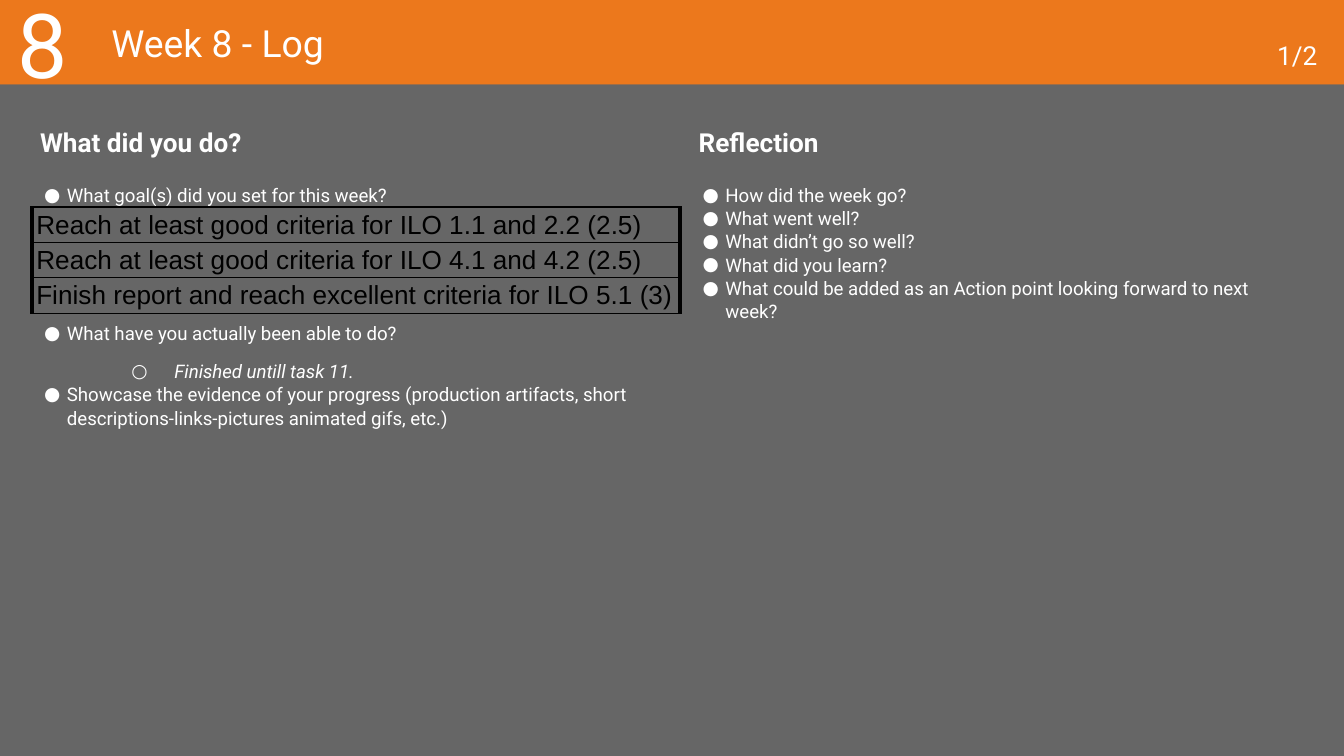
from lxml import etree
from pptx import Presentation
from pptx import util as u
from pptx.dml.color import RGBColor
from pptx.enum import shapes, text
from pptx.oxml.ns import qn

ORANGE = RGBColor(0xEC, 0x78, 0x1C)
GREY = RGBColor(0x66, 0x66, 0x66)
WHITE = RGBColor(0xFF, 0xFF, 0xFF)
BLACK = RGBColor(0, 0, 0)
ALIGN = text.PP_ALIGN
ANCHOR = text.MSO_ANCHOR

GOALS = [
    "Reach at least good criteria for ILO 1.1 and 2.2 (2.5)",
    "Reach at least good criteria for ILO 4.1 and 4.2 (2.5)",
    "Finish report and reach excellent criteria for ILO 5.1 (3)",
]
DONE = [
    ("What goal(s) did you set for this week?", {}),
    ("What have you actually been able to do?\u00a0", {"before": 61.5}),
    ("Finished untill task 11.",
     {"before": 8, "level": 1, "left": 1, "hang": 0.32, "mark": "○", "italic": True}),
    ("Showcase the evidence of your progress (production artifacts, short "
     "descriptions-links-pictures animated gifs, etc.)", {}),
]
REFLECT = [(line, {}) for line in (
    "How did the week go?",
    "What went well?",
    "What didn’t go so well?",
    "What did you learn?",
    "What could be added as an Action point looking forward to next week?",
)]


def add_mark(para, mark, left, hang, size, face):
    """Give a paragraph a white bullet and a hanging indent."""
    props = para._p.get_or_add_pPr()
    props.set("marL", str(u.Inches(left)))
    props.set("indent", str(-u.Inches(hang)))
    tint = etree.SubElement(props, qn("a:buClr"))
    etree.SubElement(tint, qn("a:srgbClr"), val=str(WHITE))
    etree.SubElement(props, qn("a:buSzPts"), val=str(size * 100))
    etree.SubElement(props, qn("a:buFont"), typeface=face)
    etree.SubElement(props, qn("a:buChar"), char=mark)
    para.font.size = u.Pt(size)


def write(para, words, size=10, face="Roboto", color=WHITE, bold=False, italic=False,
          align=ALIGN.LEFT, space=None, before=None, level=0, mark=None, left=0.2, hang=0.17):
    """Fill one paragraph with formatted text."""
    para.level = level
    para.alignment = align
    if space:
        para.line_spacing = space
    if before:
        para.space_before = u.Pt(before)
    if mark:
        add_mark(para, mark, left, hang, size, face)
    run = para.add_run()
    run.text = words
    font = run.font
    font.size, font.name, font.bold, font.italic = u.Pt(size), face, bold, italic
    font.color.rgb = color


def add_box(slide, x, y, w, h, anchor=ANCHOR.TOP):
    """Add an empty wrapping text box and return its frame."""
    frame = slide.shapes.add_textbox(*map(u.Inches, (x, y, w, h))).text_frame
    frame.word_wrap = True
    frame.vertical_anchor = anchor
    frame.margin_left = frame.margin_right = u.Inches(0.1)
    frame.margin_top = frame.margin_bottom = u.Inches(0.1)
    return frame


def add_bar(slide, x, y, w, h, color):
    """Add a plain filled rectangle."""
    bar = slide.shapes.add_shape(shapes.MSO_SHAPE.RECTANGLE, *map(u.Inches, (x, y, w, h)))
    bar.shadow.inherit = False
    bar.fill.solid()
    bar.fill.fore_color.rgb = color
    bar.line.fill.background()


def add_header(slide, x, y, w, h):
    """Place the banner with week number, title and page count."""
    add_bar(slide, x, y, w, h, ORANGE)
    add_bar(slide, x, y + h, w, 0.1, GREY)
    items = [
        ("8", 0, h, 48, ALIGN.CENTER, ANCHOR.MIDDLE),
        ("Week 8 - Log", 0.73, 6, 20, ALIGN.LEFT, ANCHOR.MIDDLE),
        ("1/2", w - 2.27, 2.17, 14, ALIGN.RIGHT, ANCHOR.BOTTOM),
    ]
    for words, dx, wide, size, align, anchor in items:
        frame = add_box(slide, x + dx, y, wide, h, anchor)
        write(frame.paragraphs[0], words, size=size, align=align)


def add_column(slide, x, y, w, h, title, points):
    """Place a heading with its bullet list below."""
    head = 0.43
    frame = add_box(slide, x, y, w, head)
    write(frame.paragraphs[0], title, size=14, bold=True, space=1.04)
    frame = add_box(slide, x, y + head, w, h - head)
    for i, (words, style) in enumerate(points):
        para = frame.add_paragraph() if i else frame.paragraphs[0]
        write(para, words, **{"mark": "●", "space": 1.04, **style})


def add_edges(cell):
    """Draw thick side borders and thin top and bottom borders."""
    props = cell._tc.get_or_add_tcPr()
    edges = [("lnL", 2.25), ("lnR", 2.25), ("lnT", 0.75), ("lnB", 0.75)]
    for i, (tag, width) in enumerate(edges):
        line = etree.Element(qn(f"a:{tag}"), w=str(u.Pt(width)))
        fill = etree.SubElement(line, qn("a:solidFill"))
        etree.SubElement(fill, qn("a:srgbClr"), val=str(BLACK))
        props.insert(i, line)


def add_goals(slide, x, y, w, h):
    """Place the table of weekly goals."""
    box = map(u.Inches, (x, y, w, h))
    table = slide.shapes.add_table(len(GOALS), 1, *box).table
    table.first_row = table.horz_banding = False
    for i, goal in enumerate(GOALS):
        cell = table.cell(i, 0)
        cell.fill.background()
        cell.vertical_anchor = ANCHOR.BOTTOM
        cell.margin_left = cell.margin_right = u.Inches(0.03)
        cell.margin_top, cell.margin_bottom = u.Inches(0.01), u.Inches(0.02)
        write(cell.text_frame.paragraphs[0], goal, size=14, face="Arial", color=BLACK)
        add_edges(cell)


def main():
    """Build the weekly log slide."""
    deck = Presentation()
    deck.slide_width, deck.slide_height = u.Inches(10), u.Inches(10 * 9 / 16)
    slide = deck.slides.add_slide(deck.slide_layouts[6])
    slide.background.fill.solid()
    slide.background.fill.fore_color.rgb = GREY
    add_header(slide, 0, 0, 10, 0.63)
    add_column(slide, 0.2, 0.83, 4.7, 4.6, "What did you do?", DONE)
    add_column(slide, 5.1, 0.83, 4.7, 2.21, "Reflection", REFLECT)
    add_goals(slide, 0.24, 1.54, 4.82, 0.66)
    deck.save("out.pptx")


if __name__ == "__main__":
    main()
